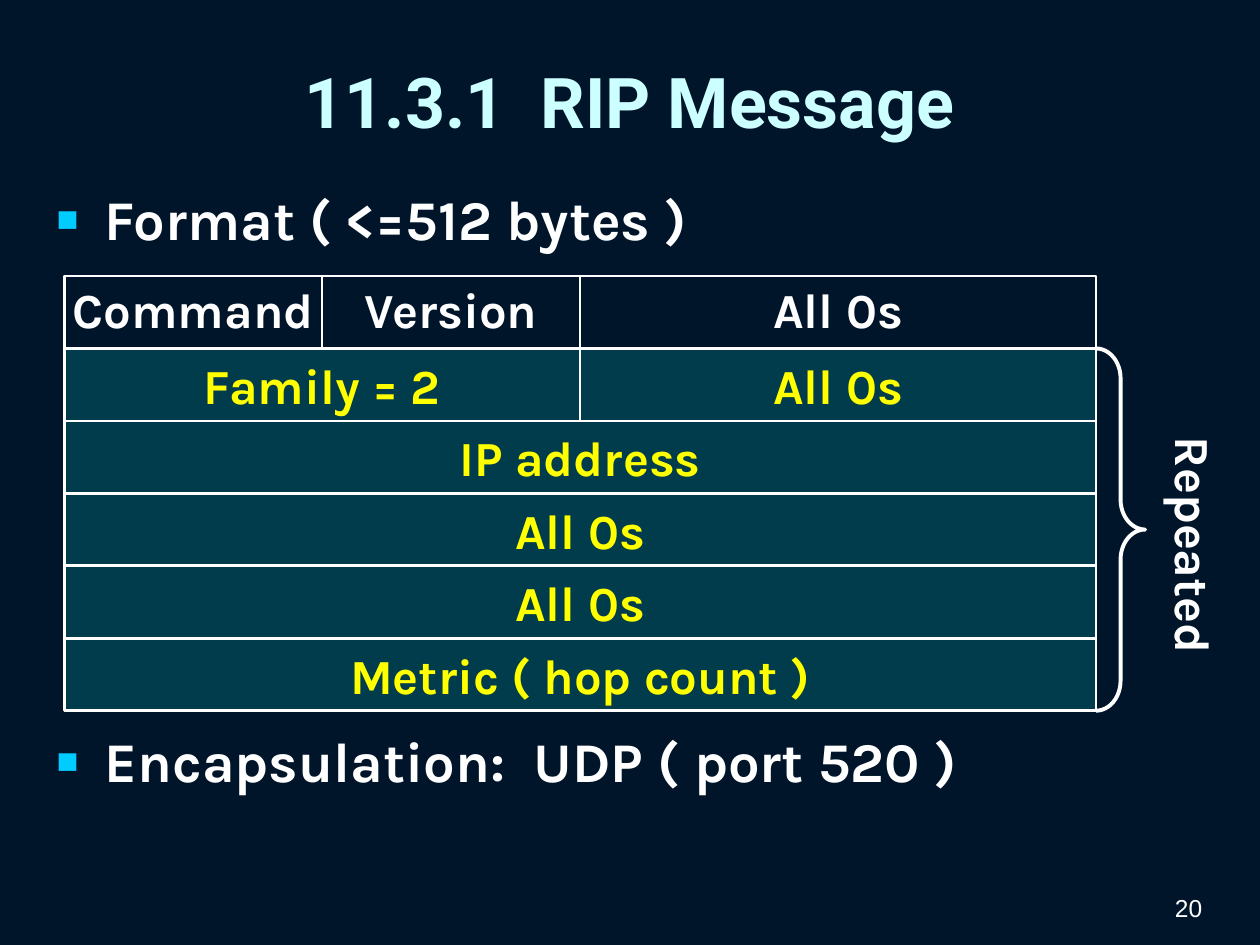
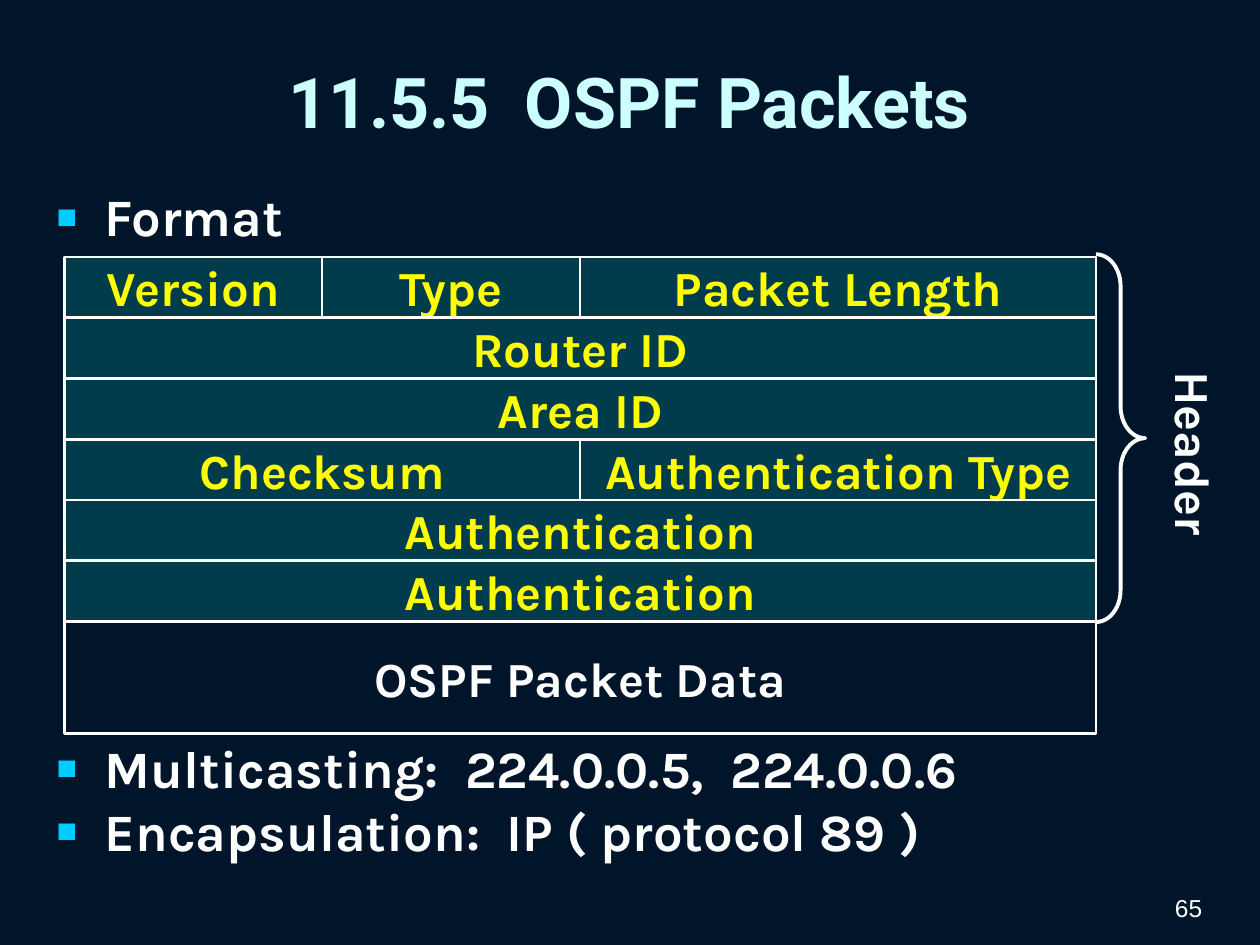
"""Builds two slides that describe the RIP and OSPF message formats."""
from dataclasses import dataclass
from typing import Any

from lxml.etree import SubElement
from pptx import Presentation
from pptx.dml.color import RGBColor
from pptx.enum.shapes import MSO_SHAPE
from pptx.enum.text import MSO_ANCHOR, MSO_AUTO_SIZE, PP_ALIGN
from pptx.oxml.ns import qn
from pptx.util import Pt

BACKGROUND = "00152A"
TITLE_COLOR = "CCFFFF"
BULLET_COLOR = "00CCFF"
WHITE = "FFFFFF"
YELLOW = "FFFF00"
TEAL = "009999"

MARGIN_LEFT = 25.2
CONTENT_WIDTH = 668.9
TITLE_TOP = 9.4
TITLE_HEIGHT = 96.5
BODY_TOP = 105.9
TABLE_LEFT = 36.7
QUARTER_WIDTH = 147.4
BRACE_WIDTH = 28.1
LABEL_WIDTH = 48.2
LABEL_SHIFT = 1.8
INDENT = 27.4

CELL_FRAME = {"word_wrap": False, "vertical_anchor": MSO_ANCHOR.MIDDLE}
LABEL_FRAME = {"word_wrap": False, "auto_size": MSO_AUTO_SIZE.SHAPE_TO_FIT_TEXT}
TITLE_FRAME = {"word_wrap": True, "vertical_anchor": MSO_ANCHOR.MIDDLE,
               "auto_size": MSO_AUTO_SIZE.NONE}
BODY_FRAME = {"word_wrap": True, "auto_size": MSO_AUTO_SIZE.NONE}
NUMBER_FRAME = {"word_wrap": True, "vertical_anchor": MSO_ANCHOR.BOTTOM}

TITLE_FONT = {"name": "Roboto", "size": Pt(40), "bold": True}
FIELD_FONT = {"name": "Karla", "size": Pt(28), "bold": True}
NUMBER_FONT = {"name": "Arial", "size": Pt(14)}


@dataclass(frozen=True)
class Field:
    text: str
    quarters: int = 4


@dataclass(frozen=True)
class Row:
    fields: tuple[Field, ...]
    height: float
    highlighted: bool = True
    line_spacing: float = 1.0


@dataclass(frozen=True)
class Bullet:
    text: str
    space_before: float = 0


@dataclass(frozen=True)
class Brace:
    label: str
    top: float
    height: float
    bend: float
    label_height: float


@dataclass(frozen=True)
class MessageSlide:
    title: str
    number: str
    body_height: float
    bullet_size: float
    bullets: tuple[Bullet, ...]
    table_top: float
    rows: tuple[Row, ...]
    brace: Brace


RIP_HEIGHT = 41.4
OSPF_HEIGHT = 34.7

MESSAGE_SLIDES = (
    MessageSlide(
        title="11.3.1  RIP Message",
        number="20",
        body_height=391,
        bullet_size=32,
        bullets=(Bullet("Format ( <=512 bytes )"),
                 Bullet("Encapsulation:  UDP ( port 520 )", 275.4)),
        table_top=157.7,
        rows=(
            Row((Field("Command", 1), Field("Version", 1), Field("All 0s", 2)),
                RIP_HEIGHT, highlighted=False, line_spacing=0.9),
            Row((Field("Family = 2", 2), Field("All 0s", 2)), RIP_HEIGHT),
            *(Row((Field(text),), RIP_HEIGHT)
              for text in ("IP address", "All 0s", "All 0s", "Metric ( hop count )")),
        ),
        brace=Brace("Repeated", 199.1, 207, 0.61, 123.8),
    ),
    MessageSlide(
        title="11.5.5  OSPF Packets",
        number="65",
        body_height=402.5,
        bullet_size=30,
        bullets=(Bullet("Format"),
                 Bullet("Multicasting:  224.0.0.5,  224.0.0.6", 282.5),
                 Bullet("Encapsulation:  IP ( protocol 89 )", 3.6)),
        table_top=146.9,
        rows=(
            Row((Field("Version", 1), Field("Type", 1), Field("Packet Length", 2)),
                OSPF_HEIGHT),
            Row((Field("Router ID"),), OSPF_HEIGHT),
            Row((Field("Area ID"),), OSPF_HEIGHT),
            Row((Field("Checksum", 2), Field("Authentication Type", 2)), OSPF_HEIGHT),
            Row((Field("Authentication"),), OSPF_HEIGHT),
            Row((Field("Authentication"),), OSPF_HEIGHT),
            Row((Field("OSPF Packet Data"),), 64.1, highlighted=False),
        ),
        brace=Brace("Header", 145.3, 210.2, 0.65, 94.3),
    ),
)


def set_color(target: Any, color: str) -> None:
    target.rgb = RGBColor.from_string(color)


def set_attributes(target: Any, values: dict[str, Any]) -> None:
    for name, value in values.items():
        setattr(target, name, value)


def write_text(paragraph: Any, text: str, font: dict[str, Any], color: str,
               alignment: PP_ALIGN) -> None:
    paragraph.alignment = alignment
    run = paragraph.add_run()
    run.text = text
    set_attributes(run.font, font)
    set_color(run.font.color, color)


def place(shape: Any, left: float, top: float, width: float, height: float) -> None:
    set_attributes(shape, {"left": Pt(left), "top": Pt(top),
                           "width": Pt(width), "height": Pt(height)})


def outline(shape: Any, width: float) -> None:
    shape.shadow.inherit = False
    set_color(shape.line.color, WHITE)
    shape.line.width = Pt(width)


def fill_highlight(shape: Any) -> None:
    shape.fill.solid()
    set_color(shape.fill.fore_color, TEAL)
    color = shape._element.spPr.find(qn("a:solidFill")).find(qn("a:srgbClr"))
    SubElement(color, qn("a:alpha"), val="30000")


def add_bullet_mark(paragraph: Any) -> None:
    properties = paragraph._p.get_or_add_pPr()
    properties.set("marL", str(Pt(INDENT)))
    properties.set("indent", str(-Pt(INDENT)))
    color = SubElement(properties, qn("a:buClr"))
    SubElement(color, qn("a:srgbClr"), val=BULLET_COLOR)
    SubElement(properties, qn("a:buSzPct"), val="65000")
    SubElement(properties, qn("a:buFont"), typeface="Arial")
    SubElement(properties, qn("a:buChar"), char="■")


def add_title(slide: Any, text: str) -> None:
    title = slide.shapes.title
    place(title, MARGIN_LEFT, TITLE_TOP, CONTENT_WIDTH, TITLE_HEIGHT)
    set_attributes(title.text_frame, TITLE_FRAME)
    write_text(title.text_frame.paragraphs[0], text, TITLE_FONT, TITLE_COLOR,
               PP_ALIGN.CENTER)


def add_bullets(slide: Any, message: MessageSlide) -> None:
    body = slide.placeholders[1]
    place(body, MARGIN_LEFT, BODY_TOP, CONTENT_WIDTH, message.body_height)
    frame = body.text_frame
    set_attributes(frame, BODY_FRAME)
    font = FIELD_FONT | {"size": Pt(message.bullet_size)}
    for index, bullet in enumerate(message.bullets):
        paragraph = frame.add_paragraph() if index else frame.paragraphs[0]
        add_bullet_mark(paragraph)
        set_attributes(paragraph, {"line_spacing": 0.9,
                                   "space_before": Pt(bullet.space_before)})
        write_text(paragraph, bullet.text, font, WHITE, PP_ALIGN.LEFT)


def add_rows(shapes: Any, rows: tuple[Row, ...], top: float) -> None:
    for row in rows:
        left = TABLE_LEFT
        for field in row.fields:
            width = field.quarters * QUARTER_WIDTH
            cell = shapes.add_shape(MSO_SHAPE.RECTANGLE, Pt(left), Pt(top),
                                    Pt(width), Pt(row.height))
            outline(cell, 1.5)
            if row.highlighted:
                fill_highlight(cell)
            else:
                cell.fill.background()
            set_attributes(cell.text_frame, CELL_FRAME)
            paragraph = cell.text_frame.paragraphs[0]
            paragraph.line_spacing = row.line_spacing
            write_text(paragraph, field.text, FIELD_FONT,
                       YELLOW if row.highlighted else WHITE, PP_ALIGN.CENTER)
            left += width
        top += row.height


def add_brace(shapes: Any, brace: Brace) -> None:
    left = TABLE_LEFT + 4 * QUARTER_WIDTH
    shape = shapes.add_shape(MSO_SHAPE.RIGHT_BRACE, Pt(left), Pt(brace.top),
                             Pt(BRACE_WIDTH), Pt(brace.height))
    shape.adjustments[0] = brace.bend
    shape.adjustments[1] = 0.5
    shape.fill.background()
    outline(shape, 2.25)
    label_top = brace.top + (brace.height - brace.label_height) / 2 + LABEL_SHIFT
    label = shapes.add_textbox(Pt(left + BRACE_WIDTH + 0.7), Pt(label_top),
                               Pt(LABEL_WIDTH), Pt(brace.label_height))
    set_attributes(label.text_frame, LABEL_FRAME)
    label.text_frame._txBody.bodyPr.set("vert", "eaVert")
    write_text(label.text_frame.paragraphs[0], brace.label, FIELD_FONT, WHITE,
               PP_ALIGN.CENTER)


def add_number(slide: Any, number: str) -> None:
    box = slide.shapes.add_textbox(Pt(526.3), Pt(496.8), Pt(167.8), Pt(33.8))
    set_attributes(box.text_frame, NUMBER_FRAME)
    write_text(box.text_frame.paragraphs[0], number, NUMBER_FONT, WHITE, PP_ALIGN.RIGHT)


def add_message_slide(presentation: Any, message: MessageSlide) -> None:
    slide = presentation.slides.add_slide(presentation.slide_layouts[1])
    add_number(slide, message.number)
    add_title(slide, message.title)
    add_bullets(slide, message)
    diagram = slide.shapes.add_group_shape().shapes
    add_rows(diagram, message.rows, message.table_top)
    add_brace(diagram, message.brace)


def main() -> None:
    presentation = Presentation()
    set_attributes(presentation, {"slide_width": Pt(720), "slide_height": Pt(540)})
    background = presentation.slide_master.background.fill
    background.solid()
    set_color(background.fore_color, BACKGROUND)
    for message in MESSAGE_SLIDES:
        add_message_slide(presentation, message)
    presentation.save("out.pptx")


if __name__ == "__main__":
    main()
